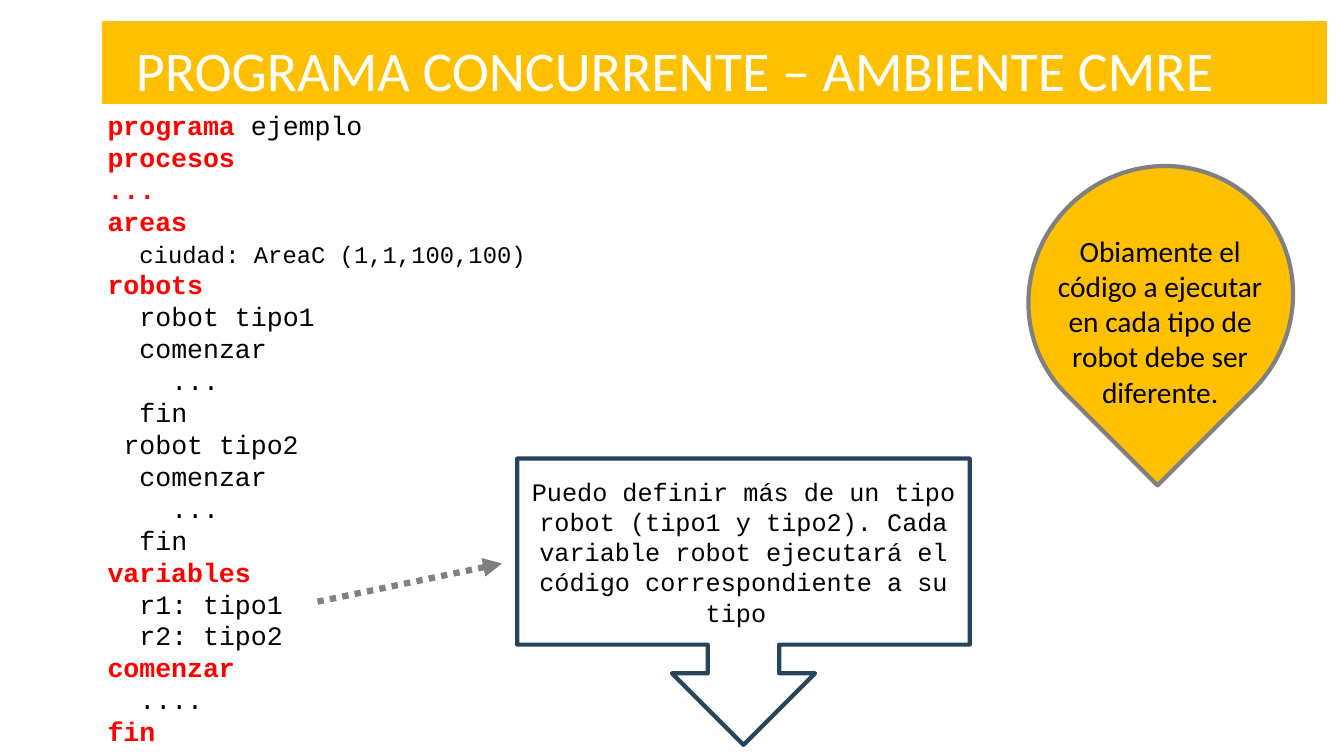
from dataclasses import dataclass
from typing import NamedTuple

from lxml import etree
from pptx import Presentation
from pptx import util as u
from pptx.dml.color import RGBColor
from pptx.enum import dml, shapes, text
from pptx.oxml import ns


@dataclass(frozen=True)
class Theme:
    amber: str = "FFC000"
    gray: str = "808080"
    navy: str = "28445D"
    keyword: str = "FF0000"
    ink: str = "000000"
    white: str = "FFFFFF"
    sans: str = "Calibri"
    mono: str = "Courier New"
    title_size: float = 40
    note_size: float = 21
    code_size: float = 19
    callout_size: float = 18
    area_size: float = 17


class Box(NamedTuple):
    left: float
    top: float
    width: float
    height: float


@dataclass(frozen=True)
class CodeLine:
    keyword: str = ""
    plain: str = ""
    indent: int = 0  # in characters
    size: float = Theme.code_size


@dataclass(frozen=True)
class Figure:
    preset: shapes.MSO_SHAPE
    box: Box
    fill: str | None
    line: str
    line_width: float
    rotation: float = 0


T = Theme()
CHAR_WIDTH = 0.6  # monospaced advance, in ems
LINE_HEIGHT = 1.2

CODE = [
    CodeLine("programa", " ejemplo"),
    CodeLine("procesos"),
    CodeLine("..."),
    CodeLine("areas"),
    CodeLine(plain="ciudad: AreaC (1,1,100,100)", indent=2, size=T.area_size),
    CodeLine("robots"),
    CodeLine(plain="robot tipo1", indent=2),
    CodeLine(plain="comenzar", indent=2),
    CodeLine(plain="...", indent=4),
    CodeLine(plain="fin", indent=2),
    CodeLine(plain="robot tipo2", indent=1),
    CodeLine(plain="comenzar", indent=2),
    CodeLine(plain="...", indent=4),
    CodeLine(plain="fin", indent=2),
    CodeLine("variables"),
    CodeLine(plain="r1: tipo1", indent=2),
    CodeLine(plain="r2: tipo2", indent=2),
    CodeLine("comenzar"),
    CodeLine(plain="....", indent=2),
    CodeLine("fin"),
]

BAND = Figure(shapes.MSO_SHAPE.RECTANGLE, Box(73.4, 15.8, 874.1, 58.3), T.amber, T.amber, 1)
CALLOUT = Figure(shapes.MSO_SHAPE.DOWN_ARROW_CALLOUT, Box(369.4, 327.6, 323.3, 204.5),
                 None, T.navy, 3)
DROP = Figure(shapes.MSO_SHAPE.TEAR, Box(733, 120.2, 192.2, 185.8), T.amber, T.gray, 3, 135)


def points(values: tuple) -> list:
    return [u.Pt(v) for v in values]


def set_font(font, name: str, size: float, color: str) -> None:
    font.name = name
    font.size = u.Pt(size)
    font.color.rgb = RGBColor.from_string(color)


def add_figure(parent, figure: Figure):
    sp = parent.add_shape(figure.preset, *points(figure.box))
    sp.shadow.inherit = False
    sp.rotation = figure.rotation
    if figure.fill:
        sp.fill.solid()
        sp.fill.fore_color.rgb = RGBColor.from_string(figure.fill)
    else:
        sp.fill.background()
    sp.line.color.rgb = RGBColor.from_string(figure.line)
    sp.line.width = u.Pt(figure.line_width)
    return sp


def add_box(parent, box: Box):
    tf = parent.add_textbox(*points(box)).text_frame
    tf.word_wrap = True
    return tf


def write(tf, wording: str, name: str, size: float, color: str, centered: bool = False) -> None:
    p = tf.paragraphs[0]
    p.text = wording
    p.alignment = text.PP_ALIGN.CENTER if centered else text.PP_ALIGN.LEFT
    set_font(p.font, name, size, color)


def add_code(parent, box: Box, lines: list[CodeLine]) -> None:
    tf = add_box(parent, box)
    for i, line in enumerate(lines):
        p = tf.paragraphs[0] if i == 0 else tf.add_paragraph()
        set_font(p.font, T.mono, line.size, T.ink)
        # Smaller lines keep the common line pitch
        p.space_before = u.Pt((T.code_size - line.size) * LINE_HEIGHT)
        margin = u.Pt(line.indent * CHAR_WIDTH * T.code_size)
        p._p.get_or_add_pPr().set("marL", str(int(margin)))
        if line.keyword:
            r = p.add_run()
            r.text = line.keyword
            r.font.bold = True
            set_font(r.font, T.mono, line.size, T.keyword)
        if line.plain:
            r = p.add_run()
            r.text = line.plain
            set_font(r.font, T.mono, line.size, T.ink)


def add_dotted_arrow(parent, start: tuple, end: tuple) -> None:
    cx = parent.add_connector(shapes.MSO_CONNECTOR.STRAIGHT, *points(start + end))
    cx.line.color.rgb = RGBColor.from_string(T.gray)
    cx.line.width = u.Pt(4.5)
    cx.line.dash_style = dml.MSO_LINE.ROUND_DOT
    ln = cx.line._get_or_add_ln()
    # Square dots and the arrowhead
    ln.find(ns.qn("a:prstDash")).set("val", "sysDot")
    etree.SubElement(ln, ns.qn("a:tailEnd"), type="triangle")
    etree.SubElement(cx._element.spPr, ns.qn("a:effectLst"))


def main() -> None:
    prs = Presentation()
    prs.slide_width, prs.slide_height = u.Pt(960), u.Pt(540)
    s = prs.slides.add_slide(prs.slide_layouts[6])

    # Title band
    add_figure(s.shapes, BAND)
    write(add_box(s.shapes, Box(90, 21.6, 792.7, 55.4)),
          "PROGRAMA CONCURRENTE – AMBIENTE CMRE", T.sans, T.title_size, T.white)

    # Program listing
    add_code(s.shapes, Box(69.8, 74.2, 486.7, 468), CODE)

    # Arrow and callout about the robot types
    add_dotted_arrow(s.shapes, (226.8, 429.8), (358.6, 402.5))
    tf = add_figure(s.shapes, CALLOUT).text_frame
    tf.word_wrap = True
    tf.vertical_anchor = text.MSO_ANCHOR.MIDDLE
    write(tf, "Puedo definir más de un tipo robot (tipo1 y tipo2). Cada variable robot "
              "ejecutará el código correspondiente a su tipo ",
          T.mono, T.callout_size, T.ink, centered=True)

    # Drop-shaped remark
    remark = s.shapes.add_group_shape().shapes
    add_figure(remark, DROP)
    write(add_box(remark, Box(737.3, 162.7, 182.9, 134.6)),
          "Obiamente el código a ejecutar en cada tipo de robot debe ser diferente.",
          T.sans, T.note_size, T.ink, centered=True)

    prs.save("out.pptx")


if __name__ == "__main__":
    main()
